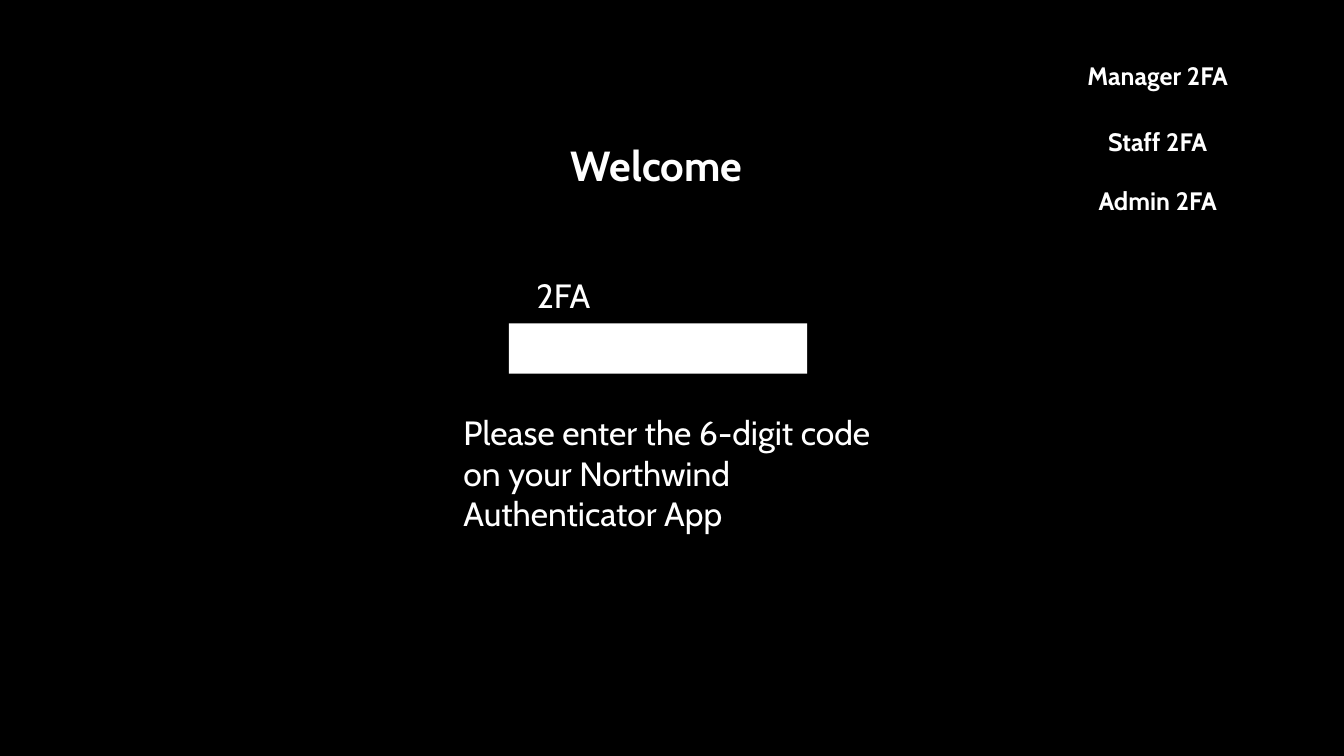
from pptx import Presentation
from pptx import util as u
from pptx.dml.color import RGBColor
from pptx.enum import shapes, text

THEME = {
    "font": "Cabin",
    "black": RGBColor(0, 0, 0),
    "white": RGBColor(255, 255, 255),
    "title": 30,
    "body": 24,
    "menu": 18,
}

prs = Presentation()
prs.slide_width, prs.slide_height = u.Pt(960), u.Pt(540)
s = prs.slides.add_slide(prs.slide_layouts[6])


def add_rect(left, top, width, height, color):
    sp = s.shapes.add_shape(shapes.MSO_SHAPE.RECTANGLE,
                            *map(u.Pt, (left, top, width, height)))
    sp.shadow.inherit = False
    sp.fill.solid()
    sp.fill.fore_color.rgb = color
    sp.line.fill.background()


def add_label(words, left, top, width, height, size, heading=False):
    sp = s.shapes.add_textbox(*map(u.Pt, (left, top, width, height)))
    tf = sp.text_frame
    tf.word_wrap = True
    p = tf.paragraphs[0]
    p.alignment = text.PP_ALIGN.CENTER if heading else text.PP_ALIGN.LEFT
    r = p.add_run()
    r.text = words
    style = {"name": THEME["font"], "size": u.Pt(THEME[size]), "bold": heading}
    for key, value in style.items():
        setattr(r.font, key, value)
    r.font.color.rgb = THEME["white"]


# Backdrop
add_rect(0, 0, 960, 540, THEME["black"])

# Code entry
add_label("2FA", 376, 193, 191.5, 36, "body")
add_rect(363.6, 231, 213, 36, THEME["white"])
add_label("Please enter the 6-digit code on your Northwind Authenticator App",
          324, 291, 312.5, 94.5, "body")

# Title
add_label("Welcome", 400.3, 96.5, 137.5, 44, "title", heading=True)

# Role menu
for role, top in (("Manager", 39.6), ("Staff", 86.4), ("Admin", 128.9)):
    add_label(f"{role} 2FA", 729.4, top, 195, 29, "menu", heading=True)

prs.save("out.pptx")
